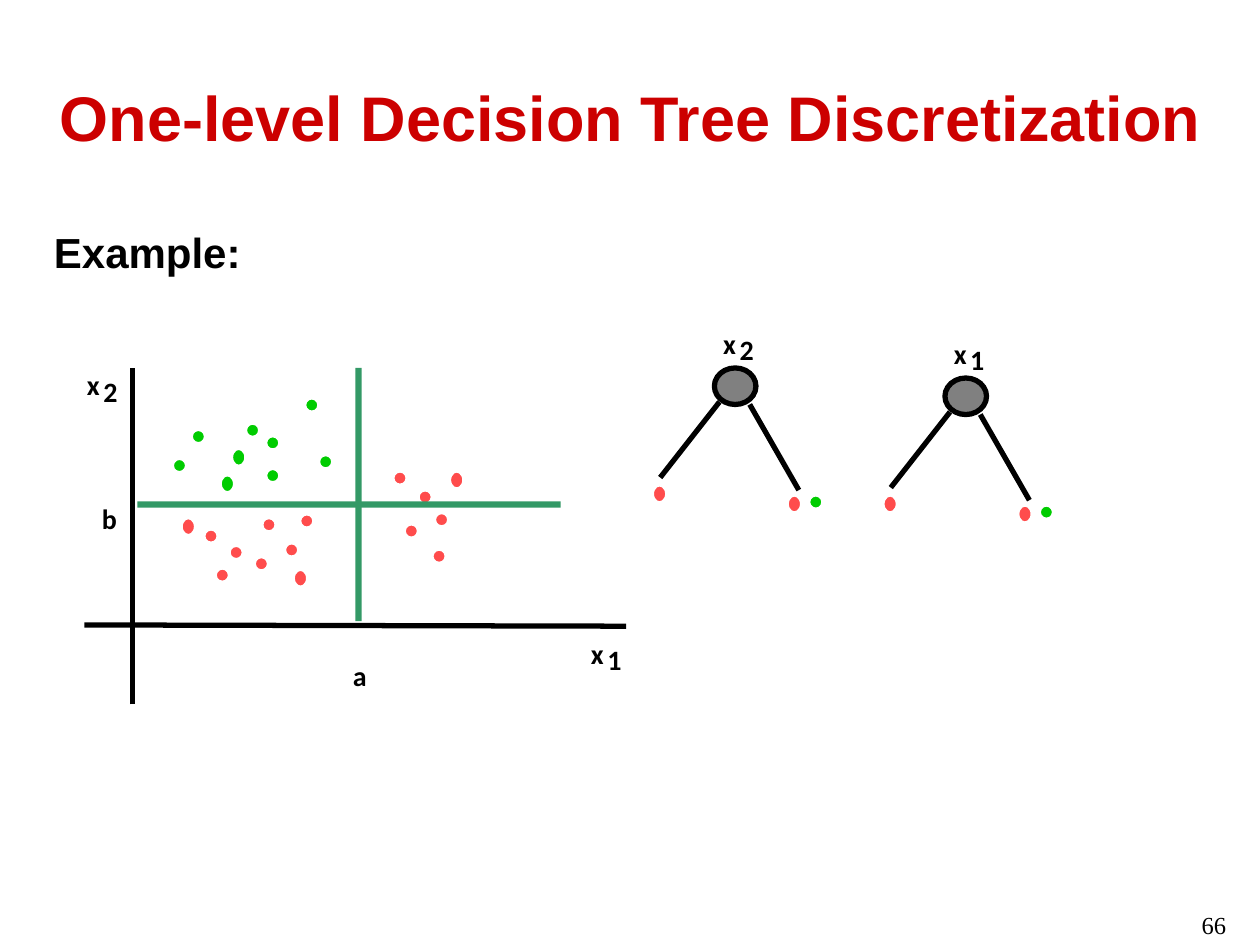
import pptx
import pptx.util
import pptx.dml.color
import pptx.enum.shapes
import pptx.enum.text
import pptx.oxml

In = pptx.util.Inches
Pt = pptx.util.Pt
Kind = pptx.enum.shapes.MSO_SHAPE
Align = pptx.enum.text.PP_ALIGN
Mid = pptx.enum.text.MSO_ANCHOR.MIDDLE

THEME = {
    "title": ("Arial", 36, "CC0000", True),
    "body": ("Arial", 24, "000000", True),
    "label": ("Calibri", 16, "000000", True),
    "page": ("Times New Roman", 14, "000000", False),
    "red": "FF4C4C", "green": "00CC00", "split": "339966",
    "node": "808080", "ink": "000000", "halo": "FFFFFF", "line": 3,
}
BOXES = [
    ("One-level Decision Tree Discretization", "title", (0.17, 0.42, 9.67, 1), Align.CENTER, Mid),
    ("Example:", "body", (0.33, 1.75, 9, 5.58), Align.LEFT, None),
    ("66", "page", (7.5, 7.17, 2.33, 0.52), Align.RIGHT, None),
]
LABELS = [("a", 2.8, 5.23), ("b", 0.81, 3.98)]
NAMES = [("1", 4.69, 5.05), ("2", 0.69, 2.92)]
AXES = [(1.05, 5.59, 1.05, 2.92), (0.67, 4.96, 4.97, 4.97)]
SPLITS = [(1.09, 3.98, 3.36, 0.05), (2.82, 2.92, 0.05, 2.01)]
ROUND, TALL = 0.13, 0.16
DOTS = {
    ("red", ROUND): [
        (3.11, 3.73), (3.2, 4.15), (3.31, 3.88), (3.42, 4.35), (1.81, 4.32),
        (2.25, 4.3), (2.07, 4.1), (2.01, 4.41), (3.44, 4.06), (2.37, 4.07),
        (1.7, 4.5), (1.61, 4.19)],
    ("red", TALL): [(3.56, 3.73), (2.32, 4.51), (1.43, 4.1)],
    ("green", ROUND): [
        (1.51, 3.4), (1.94, 3.35), (2.1, 3.71), (2.52, 3.6), (2.41, 3.15),
        (1.36, 3.63), (2.1, 3.45)],
    ("green", TALL): [(1.83, 3.55), (1.74, 3.76)],
}
TREES = [("1", 7.5, 3), ("2", 5.67, 2.92)]
EDGES = [(0.28, 0.29, 0.67, 0.97), (-0.43, 0.87, 0.04, 0.27)]
LEAVES = [("red", -0.5, 0.92, TALL), ("red", 0.57, 1, TALL), ("green", 0.74, 1, ROUND)]


def tint(code):
    """Turn a hex code into a colour."""
    return pptx.dml.color.RGBColor.from_string(code)


def write(slide, text, style, area, align=Align.LEFT, anchor=None, pad=(0.1, 0.05), wrap=True):
    """Add one styled line of text."""
    box = slide.shapes.add_textbox(*map(In, area))
    frame = box.text_frame
    frame.word_wrap = wrap
    frame.margin_left = frame.margin_right = In(pad[0])
    frame.margin_top = frame.margin_bottom = In(pad[1])
    if anchor is not None:
        frame.vertical_anchor = anchor
    para = frame.paragraphs[0]
    para.alignment = align
    run = para.add_run()
    run.text = text
    face, size, code, bold = THEME[style]
    font = run.font
    font.name, font.size, font.bold = face, Pt(size), bold
    font.color.rgb = tint(code)


def label(slide, text, x, y):
    """Add a small tight label."""
    write(slide, text, "label", (x, y, 0.13, 0.27), pad=(0, 0), wrap=False)


def name(slide, index, x, y):
    """Add a variable x with its lowered index."""
    label(slide, "x", x, y)
    label(slide, index, x + 0.13, y + 0.05)


def shape(slide, kind, area, fill, edge=None):
    """Add a filled shape, outlined if an edge is given."""
    item = slide.shapes.add_shape(kind, *map(In, area))
    item.shadow.inherit = False
    item.fill.solid()
    item.fill.fore_color.rgb = tint(THEME[fill])
    if edge:
        item.line.color.rgb = tint(THEME[edge])
        item.line.width = Pt(THEME["line"])
    else:
        item.line.fill.background()


def dot(slide, hue, x, y, tall):
    """Add a data point."""
    shape(slide, Kind.OVAL, (x, y, ROUND, tall), hue, "halo")


def line(slide, ends):
    """Add a straight ink line."""
    link = slide.shapes.add_connector(
        pptx.enum.shapes.MSO_CONNECTOR.STRAIGHT, *map(In, ends))
    link.line.color.rgb = tint(THEME["ink"])
    link.line.width = Pt(THEME["line"])
    props = link.element.spPr
    props.append(pptx.oxml.parse_xml(
        '<a:effectLst xmlns:a="http://schemas.openxmlformats.org/drawingml/2006/main"/>'))


def plot(slide):
    """Draw the scatter of points with both splits."""
    for item in LABELS:
        label(slide, *item)
    for item in NAMES:
        name(slide, *item)
    for ends in AXES:
        line(slide, ends)
    for (hue, tall), spots in DOTS.items():
        for x, y in spots:
            dot(slide, hue, x, y, tall)
    for area in SPLITS:
        shape(slide, Kind.RECTANGLE, area, "split")


def tree(slide, index, x, y):
    """Draw a one-level tree from its root corner."""
    shape(slide, Kind.OVAL, (x, y, 0.33, 0.29), "node", "ink")
    for x1, y1, x2, y2 in EDGES:
        line(slide, (x + x1, y + y1, x + x2, y + y2))
    for hue, dx, dy, tall in LEAVES:
        dot(slide, hue, x + dx, y + dy, tall)
    name(slide, index, x + 0.07, y - 0.33)


def main():
    """Build and save the slide."""
    deck = pptx.Presentation()
    deck.slide_width, deck.slide_height = In(10), In(7.5)
    slide = deck.slides.add_slide(deck.slide_layouts[6])
    for box in BOXES:
        write(slide, *box)
    plot(slide)
    for item in TREES:
        tree(slide, *item)
    deck.save("out.pptx")


if __name__ == "__main__":
    main()
